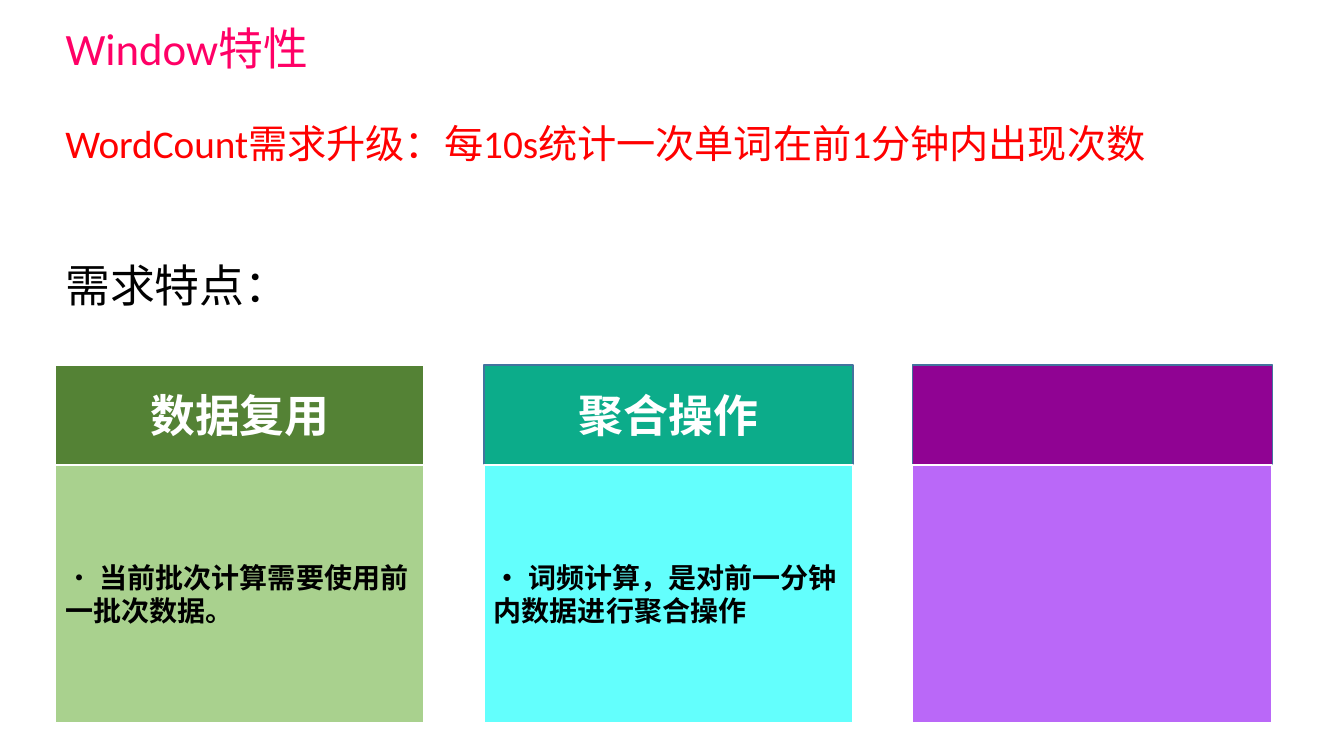
from dataclasses import dataclass

from pptx import Presentation
from pptx.dml.color import RGBColor
from pptx.enum.shapes import MSO_SHAPE as Preset
from pptx.enum.text import MSO_ANCHOR as Anchor, MSO_AUTO_SIZE as AutoSize, PP_ALIGN as Align
from pptx.util import Pt

EMU_PER_PX = 9144


@dataclass(frozen=True)
class Theme:
    font: str = "Calibri"
    heading_size: int = 32
    demand_size: int = 28
    body_size: int = 20
    title_color: str = "FF0066"
    demand_color: str = "FF0000"
    dark: str = "000000"
    light: str = "FFFFFF"
    header_border: str = "43739E"


THEME = Theme()

LEFT = 55
CARD_STEP = 425
HEADER_TOP, HEADER_HEIGHT = 362, 99
BODY_TOP, BODY_HEIGHT = HEADER_TOP + HEADER_HEIGHT, 256

CARDS = [
    dict(width=366, header_fill="548235", body_fill="A9D18E",
         border=THEME.light, border_width=1.5, heading="数据复用",
         body=[("• ", False), ("当前批次计算需要使用前一批次数据。", True)]),
    dict(width=366, header_fill="0CAC8A", body_fill="63FFFD",
         border=THEME.header_border, border_width=1, heading="聚合操作",
         body=[("• 词频计算，是对前一分钟内数据进行聚合操作", True)]),
    dict(width=357, header_fill="900393", body_fill="BA68F8",
         border=THEME.header_border, border_width=1, heading="", body=[]),
]


def px(*lengths):
    return [length * EMU_PER_PX for length in lengths]


def apply_format(target, values):
    for name, value in values.items():
        setattr(target, name, value)


def write_text(shape, runs, size, color, anchor=Anchor.TOP, align=Align.LEFT):
    frame = shape.text_frame
    apply_format(frame, {"word_wrap": True, "auto_size": AutoSize.NONE,
                         "vertical_anchor": anchor})
    paragraph = frame.paragraphs[0]
    paragraph.alignment = align
    for text, bold in runs:
        run = paragraph.add_run()
        run.text = text
        apply_format(run.font, {"name": THEME.font, "size": Pt(size), "bold": bold})
        run.font.color.rgb = RGBColor.from_string(color)


def place_title(slide, text, box):
    title = slide.shapes.title
    apply_format(title, dict(zip(("left", "top", "width", "height"), px(*box))))
    write_text(title, [(text, False)], THEME.heading_size, THEME.title_color)


def add_label(slide, text, box, size, color):
    label = slide.shapes.add_textbox(*px(*box))
    write_text(label, [(text, False)], size, color)


def add_panel(slide, box, fill, border, border_width):
    panel = slide.shapes.add_shape(Preset.RECTANGLE, *px(*box))
    panel.shadow.inherit = False
    panel.fill.solid()
    panel.fill.fore_color.rgb = RGBColor.from_string(fill)
    panel.line.color.rgb = RGBColor.from_string(border)
    panel.line.width = Pt(border_width)
    return panel


def add_card(slide, left, card):
    header = add_panel(slide, (left, HEADER_TOP, card["width"], HEADER_HEIGHT),
                       card["header_fill"], card["border"], card["border_width"])
    body = add_panel(slide, (left, BODY_TOP, card["width"], BODY_HEIGHT),
                     card["body_fill"], THEME.light, 1.5)
    if card["heading"]:
        write_text(header, [(card["heading"], True)], THEME.heading_size,
                   THEME.light, Anchor.MIDDLE, Align.CENTER)
        write_text(body, card["body"], THEME.body_size, THEME.dark, Anchor.MIDDLE)


def main():
    presentation = Presentation()
    apply_format(presentation, dict(zip(("slide_width", "slide_height"), px(1333, 750))))
    slide = presentation.slides.add_slide(presentation.slide_layouts[5])
    place_title(slide, "Window特性", (LEFT, 16, 340, 64))
    add_label(slide, "WordCount需求升级：每10s统计一次单词在前1分钟内出现次数",
              (LEFT, 113, 1110, 57), THEME.demand_size, THEME.demand_color)
    add_label(slide, "需求特点：", (LEFT, 251, 340, 64), THEME.heading_size, THEME.dark)
    for index, card in enumerate(CARDS):
        add_card(slide, LEFT + index * CARD_STEP, card)
    presentation.save("out.pptx")


if __name__ == "__main__":
    main()
